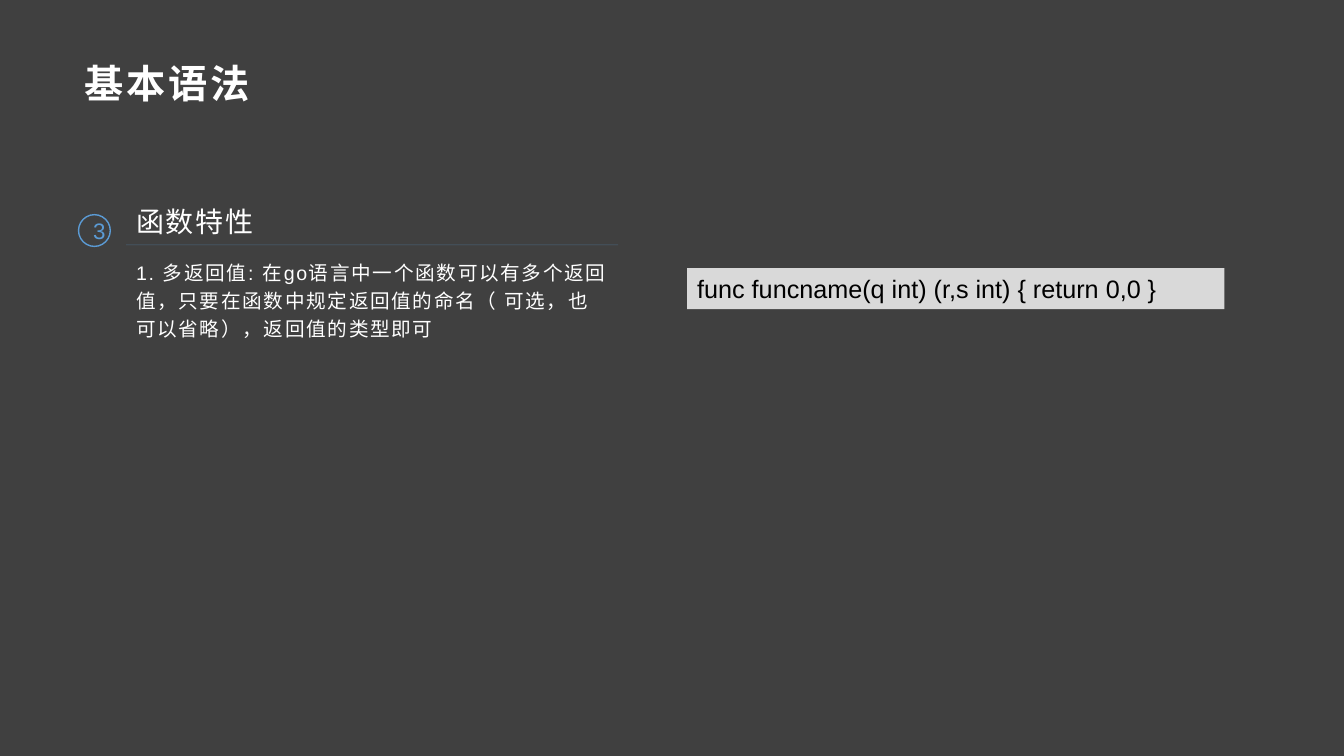
from dataclasses import dataclass

from lxml import etree
from pptx import Presentation
from pptx.dml.color import RGBColor
from pptx.enum.shapes import MSO_CONNECTOR, MSO_SHAPE
from pptx.enum.text import MSO_ANCHOR, MSO_AUTO_SIZE, PP_ALIGN
from pptx.oxml.ns import qn
from pptx.util import Cm, Pt

STRAIGHT = MSO_CONNECTOR.STRAIGHT
OVAL, RECTANGLE = MSO_SHAPE.OVAL, MSO_SHAPE.RECTANGLE
TOP, MIDDLE = MSO_ANCHOR.TOP, MSO_ANCHOR.MIDDLE
LEFT, CENTER = PP_ALIGN.LEFT, PP_ALIGN.CENTER
FIT_NONE, FIT_SHAPE = MSO_AUTO_SIZE.NONE, MSO_AUTO_SIZE.SHAPE_TO_FIT_TEXT


@dataclass(frozen=True)
class Theme:
    font: str = "Arial"
    background: str = "404040"
    light: str = "FFFFFF"
    dark: str = "000000"
    accent: str = "5B9BD5"
    code_fill: str = "D9D9D9"
    title_size: int = 28
    heading_size: int = 20
    code_size: int = 18
    number_size: int = 16
    body_size: int = 14


def rgb(code):
    return RGBColor.from_string(code)


def write_text(frame, text, *, font, size, color, bold=False, tracking=0,
               line_spacing=1.0, align=LEFT, anchor=TOP, fit=FIT_NONE):
    frame.word_wrap = True
    frame.auto_size = fit
    frame.vertical_anchor = anchor
    paragraph = frame.paragraphs[0]
    paragraph.alignment = align
    paragraph.line_spacing = line_spacing
    run = paragraph.add_run()
    run.text = text
    run.font.name = font
    run.font.size = Pt(size)
    run.font.bold = bold
    run.font.color.rgb = rgb(color)
    if tracking:
        run.font._element.set("spc", str(round(tracking * 100)))


class SlideBuilder:
    def __init__(self, slide, theme):
        self.slide = slide
        self.theme = theme
        fill = slide.background.fill
        fill.solid()
        fill.fore_color.rgb = rgb(theme.background)

    def label(self, box, text, **style):
        frame = self.slide.shapes.add_textbox(*map(Cm, box)).text_frame
        write_text(frame, text, font=self.theme.font, color=self.theme.light, **style)
        return frame

    def shape(self, kind, box, text, fill=None, outline=None, **style):
        shape = self.slide.shapes.add_shape(kind, *map(Cm, box))
        shape.shadow.inherit = False
        if fill:
            shape.fill.solid()
            shape.fill.fore_color.rgb = rgb(fill)
        else:
            shape.fill.background()
        if outline:
            shape.line.color.rgb = rgb(outline)
            shape.line.width = Pt(1)
        else:
            shape.line.fill.background()
        write_text(shape.text_frame, text, font=self.theme.font, **style)

    def rule(self, left, top, width, opacity):
        rule = self.slide.shapes.add_connector(
            STRAIGHT, Cm(left), Cm(top), Cm(left + width), Cm(top))
        rule.line.color.rgb = rgb(self.theme.accent)
        rule.line.width = Pt(0.5)
        properties = rule._element.spPr
        color = properties.find(".//" + qn("a:srgbClr"))
        etree.SubElement(color, qn("a:alpha"), val=str(opacity * 1000))
        etree.SubElement(properties, qn("a:effectLst"))


theme = Theme()
presentation = Presentation()
presentation.slide_width = Cm(33.87)
presentation.slide_height = Cm(19.05)
page = SlideBuilder(presentation.slides.add_slide(presentation.slide_layouts[6]), theme)

column_left, column_width = 3.18, 12.4

page.rule(column_left, 6.17, column_width, opacity=44)
page.label((column_left, 4.95, column_width, 1.19), "函数特性",
           size=theme.heading_size, tracking=1.2, line_spacing=1.1)
page.label((column_left, 6.32, column_width, 2.49),
           "1. 多返回值: 在go语言中一个函数可以有多个返回值，只要在函数中规定返回值的命名"
           "（ 可选，也可以省略），返回值的类型即可",
           size=theme.body_size, tracking=1.2, line_spacing=1.2)
page.shape(OVAL, (1.98, 5.41, 0.8, 0.8), "3", outline=theme.accent,
           size=theme.number_size, color=theme.accent, align=CENTER, anchor=MIDDLE)

title = page.label((1.85, 1.19, 30.15, 1.8), "基本语法",
                   size=theme.title_size, bold=True, tracking=2, anchor=MIDDLE)
title.margin_left, title.margin_right = Cm(0.28), Cm(0.2)
title.margin_top = title.margin_bottom = Cm(0.1)

page.shape(RECTANGLE, (17.32, 6.76, 13.54, 1.03),
           "func funcname(q int) (r,s int) { return 0,0 }", fill=theme.code_fill,
           size=theme.code_size, color=theme.dark, fit=FIT_SHAPE)

presentation.save("out.pptx")
